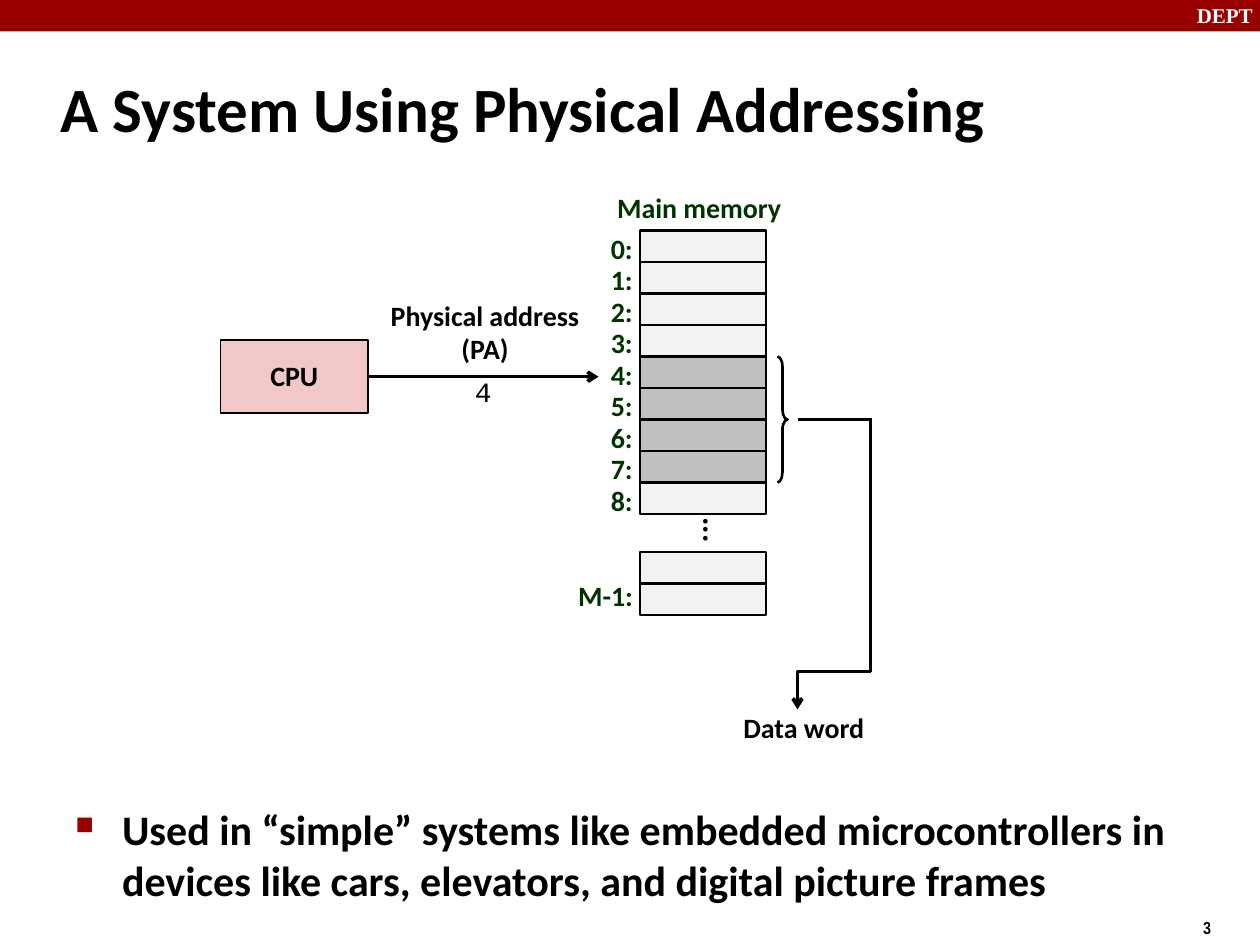
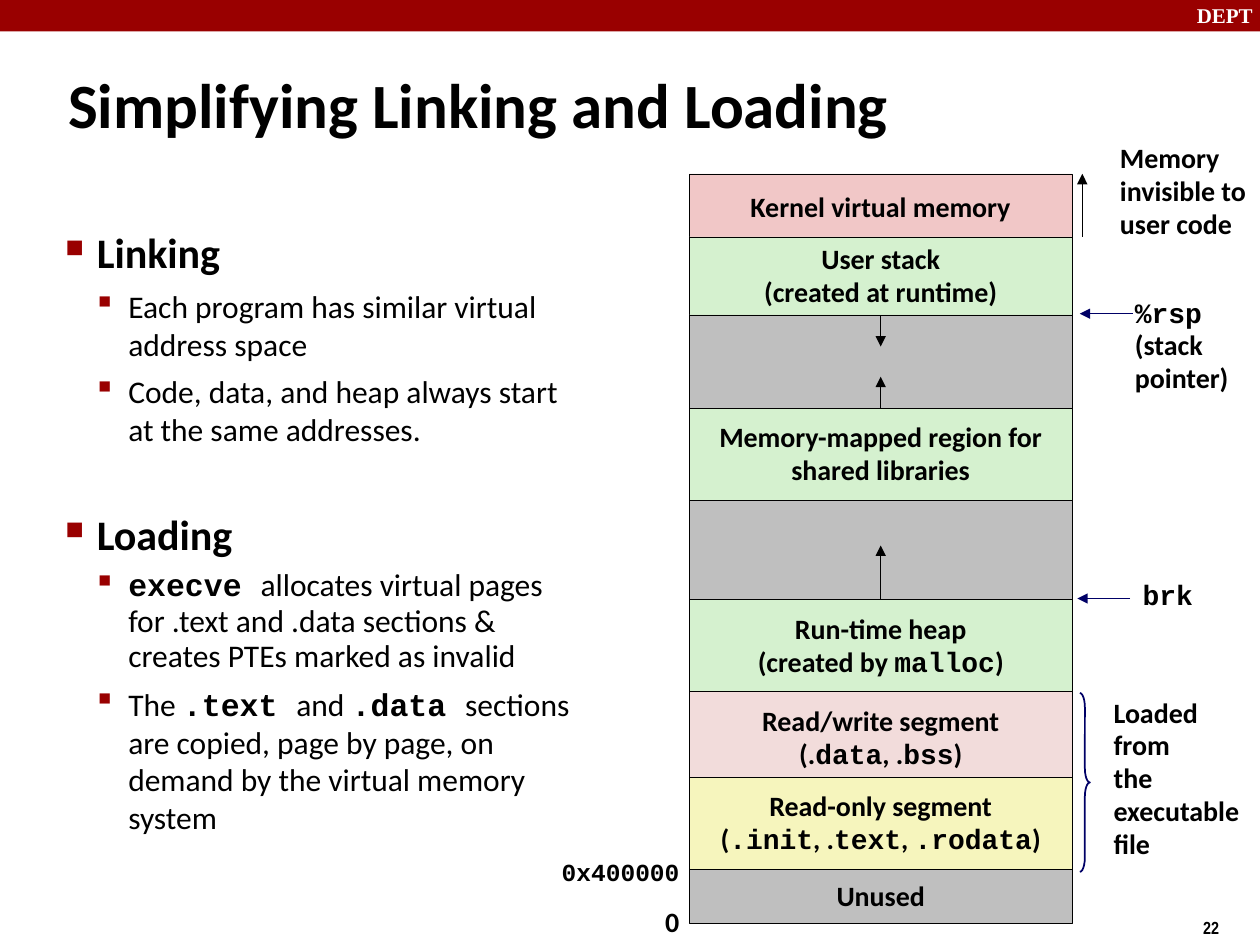
"""Build two slides on physical addressing and on linking and loading."""
from lxml.etree import SubElement
from pptx import Presentation
from pptx.dml.color import RGBColor
from pptx.enum.shapes import MSO_CONNECTOR, MSO_SHAPE
from pptx.enum.text import MSO_ANCHOR, MSO_AUTO_SIZE, PP_ALIGN
from pptx.oxml.ns import qn
from pptx.util import Emu, Pt

SCALE = 9144
SANS, MONO = "Calibri", "Courier New"
HUES = {
    "ink": "000000", "white": "FFFFFF", "red": "990000", "navy": "000066",
    "moss": "003300", "pink": "F1C7C7", "green": "D5F1CF", "rose": "F2DCDB",
    "cream": "F6F5BD", "grey": "BFBFBF", "steel": "C0C0C0", "pale": "F2F2F2",
}


def px(*sizes):
    """Turn px into EMU."""
    return [Emu(size * SCALE) for size in sizes]


def hue(name):
    """Return a named colour."""
    return RGBColor.from_string(HUES[name])


def style(para, size, face=SANS, tint="ink", bold=True):
    """Set the font of a paragraph."""
    font = para.font
    font.size, font.name, font.bold = Pt(size), face, bold
    font.color.rgb = hue(tint)


def write(para, words):
    """Add runs to a paragraph, with code between backticks."""
    for spot, part in enumerate(words.split("`")):
        if part:
            run = para.add_run()
            run.text = part
            if spot % 2:
                run.font.name, run.font.bold = MONO, True


def rows(frame, lines):
    """Yield a written paragraph for each line."""
    for spot, line in enumerate(lines):
        para = frame.add_paragraph() if spot else frame.paragraphs[0]
        write(para, line)
        yield para


def label(slide, box, words, size=16, face=SANS, tint="ink", bold=True,
          align=PP_ALIGN.LEFT, lead=0.98, gap=0, mid=False, wrap=False):
    """Add a text box with one paragraph a line."""
    frame = slide.shapes.add_textbox(*px(*box)).text_frame
    frame.word_wrap = wrap
    frame.vertical_anchor = MSO_ANCHOR.MIDDLE if mid else MSO_ANCHOR.TOP
    for para in rows(frame, words.split("\n")):
        para.alignment, para.line_spacing = align, lead
        para.space_before = Pt(gap)
        style(para, size, face, tint, bold)
    return frame


def block(slide, box, fill, width=0.25, words=""):
    """Add a filled rectangle, outlined if it has a width."""
    shape = slide.shapes.add_shape(MSO_SHAPE.RECTANGLE, *px(*box))
    shape.shadow.inherit = False
    shape.fill.solid()
    shape.fill.fore_color.rgb = hue(fill)
    if width:
        shape.line.color.rgb, shape.line.width = hue("ink"), Pt(width)
    else:
        shape.line.fill.background()
    if words:
        shape.text_frame.word_wrap = False
        for para in rows(shape.text_frame, words.split("\n")):
            para.alignment, para.line_spacing = PP_ALIGN.CENTER, 0.98
            style(para, 16)
    return shape


def brace(slide, box, curve, tint, width):
    """Add a right brace."""
    shape = slide.shapes.add_shape(MSO_SHAPE.RIGHT_BRACE, *px(*box))
    shape.shadow.inherit = False
    shape.fill.background()
    shape.line.color.rgb, shape.line.width = hue(tint), Pt(width)
    shape.adjustments[0] = curve


def link(slide, ends, width=0.25, tint="ink", head="triangle", start=None,
         kind=MSO_CONNECTOR.STRAIGHT):
    """Add a connector, joined at its start to a (shape, side) pair."""
    line = slide.shapes.add_connector(kind, *px(*ends))
    if start:
        line.begin_connect(*start)
    line.line.color.rgb, line.line.width = hue(tint), Pt(width)
    props = line._element.spPr
    if head:
        SubElement(props.find(qn("a:ln")), qn("a:tailEnd"), type=head)
    SubElement(props, qn("a:effectLst"))
    return line


def bend(slide, ends, width, head):
    """Add an elbow that runs across first and then down."""
    line = link(slide, ends, width, head=head, kind=MSO_CONNECTOR.ELBOW)
    geom = line._element.spPr.find(qn("a:prstGeom"))
    guides = geom.find(qn("a:avLst"))
    if guides is None:
        guides = SubElement(geom, qn("a:avLst"))
    SubElement(guides, qn("a:gd"), name="adj1", fmla="val 100000")


def bullet(para, sign, share, left, hang):
    """Give a paragraph a red Wingdings bullet and a hanging indent."""
    props = para._p.get_or_add_pPr()
    props.set("marL", str(left * SCALE))
    props.set("indent", str(-hang * SCALE))
    SubElement(SubElement(props, qn("a:buClr")), qn("a:srgbClr"), val=HUES["red"])
    SubElement(props, qn("a:buSzPct"), val=str(share * 1000))
    SubElement(props, qn("a:buFont"), typeface="Wingdings", charset="2")
    SubElement(props, qn("a:buChar"), char=sign)


def points(slide, box, items):
    """Add a bullet list of (level, gap, lead, words) items."""
    frame = slide.shapes.add_textbox(*px(*box)).text_frame
    frame.word_wrap = True
    paras = rows(frame, [item[-1] for item in items])
    for para, (level, gap, lead, _) in zip(paras, items):
        para.level = level
        para.space_before, para.line_spacing = Pt(gap), lead
        if level:
            bullet(para, "§", 110, 50, 25)
            style(para, 18, bold=False)
        else:
            left = 25 if len(items) > 1 else 37
            bullet(para, "n", 60, left, left)
            style(para, 24)


def page(deck, title, box, number):
    """Add a slide with the band, the title and the page number."""
    slide = deck.slides.add_slide(deck.slide_layouts[5])
    block(slide, (0, 0, 1000, 25), "red", 0)
    label(slide, (940, -3, 67, 30), "DEPT", 12, "Times New Roman", "white", lead=1)
    label(slide, (945, 723, 75, 29), number, 10, "Arial Narrow", lead=1, wrap=True)
    head = slide.shapes.title
    head.left, head.top, head.width, head.height = px(*box)
    frame = head.text_frame
    frame.text = title
    frame.auto_size = MSO_AUTO_SIZE.NONE
    frame.vertical_anchor = MSO_ANCHOR.MIDDLE
    frame.paragraphs[0].alignment = PP_ALIGN.LEFT
    style(frame.paragraphs[0], 36)
    return slide


def memory(slide):
    """Draw the main memory cells with their addresses."""
    look = {"tint": "moss", "lead": 0.88, "gap": 6}
    label(slide, (480, 150, 150, 36), "Main memory", align=PP_ALIGN.CENTER, **look)
    for cell in range(9):
        top = 183 + 25 * cell
        block(slide, (508, top, 100, 25), "steel" if 4 <= cell <= 7 else "pale", 1.5)
        label(slide, (475, top - 1, 40, 36), f"{cell}:", **look)
    for top in (438, 463):
        block(slide, (508, top, 100, 25), "pale", 1.5)
    label(slide, (449, 458, 75, 36), "M-1:", **look)
    dots = label(slide, (517, 408, 100, 25), "...", 18, align=PP_ALIGN.CENTER, mid=True)
    dots._txBody.bodyPr.set("vert", "vert")


def address(deck):
    """Build the slide on physical addressing."""
    slide = page(deck, "A System Using Physical Addressing", (38, 42, 953, 86), "3")
    points(slide, (50, 633, 908, 96), [
        (0, 4.8, 1, "Used in “simple” systems like embedded microcontrollers in "
                    "devices like cars, elevators, and digital picture frames")])
    memory(slide)
    cpu = block(slide, (175, 270, 117, 58), "pink", 1, "CPU")
    link(slide, (292, 299, 475, 299), 2, head="arrow", start=(cpu, 3))
    label(slide, (300, 233, 170, 63), "Physical address\n(PA)",
          align=PP_ALIGN.CENTER, mid=True)
    label(slide, (367, 292, 33, 36), "4", face=MONO, bold=False, lead=1)
    brace(slide, (617, 283, 8, 100), 1, "ink", 1.5)
    link(slide, (633, 333, 691, 333), 2, head=None)
    link(slide, (691, 332, 691, 533), 2, head=None)
    bend(slide, (691, 533, 633, 563), 2, "arrow")
    label(slide, (580, 560, 116, 37), "Data word", align=PP_ALIGN.CENTER, mid=True)


def space(slide):
    """Draw the regions of the address space and how they grow."""
    regions = [
        ("kernel", 138, 53, "pink", "Kernel virtual memory"),
        ("stack", 188, 62, "green", "User stack\n(created at runtime)"),
        ("room", 250, 74, "grey", ""),
        ("shared", 324, 73, "green", "Memory-mapped region for\nshared libraries"),
        ("spare", 397, 79, "grey", ""),
        ("heap", 476, 73, "green", "Run-time heap\n(created by `malloc`)"),
        ("data", 549, 73, "rose", "Read/write segment\n(.`data`, .`bss`)"),
        ("code", 617, 73, "cream",
         "Read-only segment\n(`.init`, .`text`, `.rodata`)"),
        ("unused", 690, 43, "grey", "Unused"),
    ]
    parts = {name: block(slide, (547, top, 304, tall), fill, words=words)
             for name, top, tall, fill, words in regions}
    for name, side, start, end in (("stack", 2, 250, 275), ("shared", 0, 324, 299),
                                   ("heap", 0, 476, 433)):
        link(slide, (699, start, 699, end), start=(parts[name], side))


def loading(deck):
    """Build the slide on linking and loading."""
    slide = page(deck, "Simplifying Linking and Loading", (44, 39, 906, 86), "22")
    points(slide, (42, 175, 433, 523), [
        (0, 12.5, 1, "Linking"),
        (1, 5.6, 1, "Each program has similar virtual address space"),
        (1, 5.6, 1, "Code, data, and heap always start at the same addresses."),
        (0, 34.5, 1, "Loading"),
        (1, 5.6, 0.94, "`execve `allocates virtual pages for .text and .data "
                       "sections & creates PTEs marked as invalid"),
        (1, 5.6, 1, "The `.text `and `.data `sections are copied, page by page, "
                    "on demand by the virtual memory system"),
    ])
    space(slide)
    label(slide, (879, 108, 121, 89), "Memory\ninvisible to\nuser code")
    link(slide, (859, 188, 859, 138))
    label(slide, (891, 231, 100, 89), "`%rsp`\n(stack\npointer)", lead=0.97)
    link(slide, (899, 249, 857, 249), tint="navy")
    label(slide, (897, 456, 70, 37), "brk", face=MONO, lead=0.94)
    link(slide, (897, 475, 855, 475), tint="navy")
    brace(slide, (857, 550, 8, 142), 1.42, "navy", 1)
    label(slide, (874, 548, 125, 141), "Loaded\nfrom\nthe\nexecutable\nfile")
    label(slide, (436, 677, 130, 33), "0x400000", 14, MONO, lead=0.94)
    label(slide, (518, 714, 40, 37), "0")


def main():
    """Build and save the deck."""
    deck = Presentation()
    deck.slide_width, deck.slide_height = px(1000, 750)
    address(deck)
    loading(deck)
    deck.save("out.pptx")


if __name__ == "__main__":
    main()
